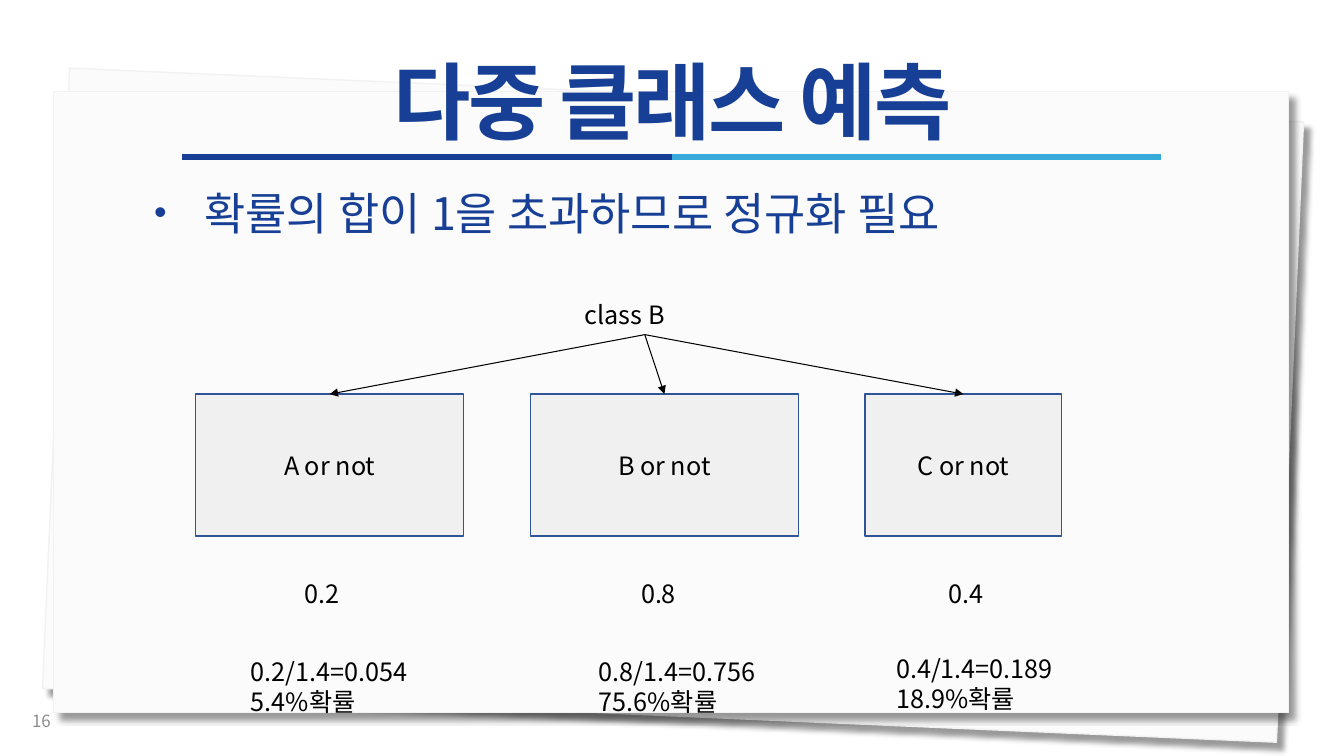
from lxml import etree
from pptx import Presentation
from pptx import util as u
from pptx.dml.color import RGBColor
from pptx.enum import shapes, text
from pptx.oxml.ns import qn

NAVY = RGBColor(0x17, 0x3F, 0x95)
RULE_NAVY = RGBColor(0x16, 0x3E, 0x94)
RULE_SKY = RGBColor(0x36, 0xAA, 0xD9)
BOX_LINE = RGBColor(0x2F, 0x55, 0x97)
BOX_FILL = RGBColor(0xF1, 0xF0, 0xF0)
PAPER = RGBColor(0xFB, 0xFB, 0xFB)
PAPER_EDGE = RGBColor(0xF2, 0xF2, 0xF2)
GREY = RGBColor(0x8C, 0x8C, 0x8C)
BLACK = RGBColor(0, 0, 0)

TOP, BOTTOM = 0, 2


def add_xml(parent, tag, **attributes):
    return etree.SubElement(parent, qn(tag), attributes)


class SlideBuilder:
    font = "Noto Sans CJK KR"

    def __init__(self, slide):
        self.slide = slide

    def add_words(self, paragraph, words, size, color, bold=False):
        run = paragraph.add_run()
        run.text = words
        run.font.name = self.font
        run.font.size = u.Pt(size)
        run.font.bold = bold
        run.font.color.rgb = color
        add_xml(run._r.get_or_add_rPr(), "a:ea", typeface=self.font)

    def label(self, left, top, width, height, lines, size=18, color=BLACK,
              bold=False, grow=True):
        box = self.slide.shapes.add_textbox(
            *map(u.Inches, (left, top, width, height)))
        frame = box.text_frame
        frame.word_wrap = True
        frame.auto_size = (text.MSO_AUTO_SIZE.SHAPE_TO_FIT_TEXT if grow
                           else text.MSO_AUTO_SIZE.NONE)
        for index, line in enumerate(lines):
            paragraph = frame.add_paragraph() if index else frame.paragraphs[0]
            self.add_words(paragraph, line, size, color, bold)
        return box

    def rectangle(self, left, top, width, height, fill, line):
        box = self.slide.shapes.add_shape(
            shapes.MSO_SHAPE.RECTANGLE,
            *map(u.Inches, (left, top, width, height)))
        box.shadow.inherit = False
        box.fill.solid()
        box.fill.fore_color.rgb = fill
        box.line.color.rgb = line
        box.line.width = u.Pt(1)
        return box

    def sheet(self, left, top, rotation):
        """Paper sheet with a soft shadow to the lower right."""
        paper = self.rectangle(left, top, 12.25, 6.16, PAPER, PAPER_EDGE)
        paper.rotation = rotation
        effects = paper._element.spPr.find(qn("a:effectLst"))
        shadow = add_xml(effects, "a:outerShdw", blurRad=str(u.Pt(4)),
                         dist=str(u.Pt(7)), dir="2700000", algn="tl",
                         rotWithShape="0")
        shade = add_xml(shadow, "a:srgbClr", val="000000")
        add_xml(shade, "a:alpha", val="40000")

    def classifier(self, left, width, name):
        box = self.rectangle(left, 3.91, width, 1.41, BOX_FILL, BOX_LINE)
        frame = box.text_frame
        frame.vertical_anchor = text.MSO_ANCHOR.MIDDLE
        frame.paragraphs[0].alignment = text.PP_ALIGN.CENTER
        self.add_words(frame.paragraphs[0], name, 18, BLACK)
        return box

    def line(self, start, end, color, width):
        connector = self.slide.shapes.add_connector(
            shapes.MSO_CONNECTOR.STRAIGHT, *map(u.Inches, start + end))
        connector.line.color.rgb = color
        connector.line.width = u.Pt(width)
        add_xml(connector._element.spPr, "a:effectLst")
        return connector

    def arrow(self, source, target):
        connector = self.line((0, 0), (1, 1), BLACK, 0.75)
        stroke = connector._element.spPr.find(qn("a:ln"))
        add_xml(stroke, "a:tailEnd", type="triangle")
        connector.begin_connect(source, BOTTOM)
        connector.end_connect(target, TOP)

    def title(self, words):
        box = self.label(0, 0.56, 13.34, 0.9, [words], 60, NAVY, True, False)
        heading = box.text_frame.paragraphs[0]
        heading.alignment = text.PP_ALIGN.CENTER
        heading.line_spacing = 0.9
        heading.runs[0]._r.get_or_add_rPr().set("spc", "-190")

    def bullet(self, words):
        box = self.label(1.41, 1.79, 10.59, 0.64, [words], 32, NAVY)
        point = box.text_frame.paragraphs[0]
        point.space_after = u.Pt(18)
        properties = point._p.get_or_add_pPr()
        properties.set("marL", str(u.Inches(0.52)))
        properties.set("indent", str(u.Inches(-0.5)))
        add_xml(properties, "a:buSzPct", val="80000")
        add_xml(properties, "a:buFont", typeface="Arial")
        add_xml(properties, "a:buChar", char="•")

    def page_number(self, number):
        box = self.label(0.22, 6.95, 3, 0.4, [number], 12, GREY, grow=False)
        box.text_frame.vertical_anchor = text.MSO_ANCHOR.MIDDLE


def main():
    deck = Presentation()
    deck.slide_width, deck.slide_height = u.Inches(13.33), u.Inches(7.5)
    page = SlideBuilder(deck.slides.add_slide(deck.slide_layouts[6]))

    page.sheet(0.55, 0.94, 2.5)
    page.sheet(0.53, 0.91, 0)
    page.line((1.81, 1.56), (6.67, 1.56), RULE_NAVY, 4.5)
    page.line((6.67, 1.56), (11.52, 1.56), RULE_SKY, 4.5)
    page.title("다중 클래스 예측")
    page.page_number("16")
    page.bullet("확률의 합이 1을 초과하므로 정규화 필요")

    predicted = page.label(5.7, 2.92, 1.39, 0.4, ["class B"])
    # name, box width, score and its left, normalised lines and their place
    classes = [
        ("A", 2.66, "0.2", 2.92, ["0.2/1.4=0.054", "5.4%확률"], 2.39, 6.46),
        ("B", 2.66, "0.8", 6.26, ["0.8/1.4=0.756", "75.6%확률"], 5.84, 6.46),
        ("C", 1.95, "0.4", 9.31, ["0.4/1.4=0.189", "18.9%확률"], 8.79, 6.43),
    ]
    for index, (name, width, score, score_left, normalised,
                left, top) in enumerate(classes):
        box = page.classifier(1.94 + 3.32 * index, width, f"{name} or not")
        page.label(score_left, 5.69, 1.8, 0.39, [score])
        page.label(left, top, 2.5, 0.71, normalised)
        page.arrow(predicted, box)

    deck.save("out.pptx")


if __name__ == "__main__":
    main()
